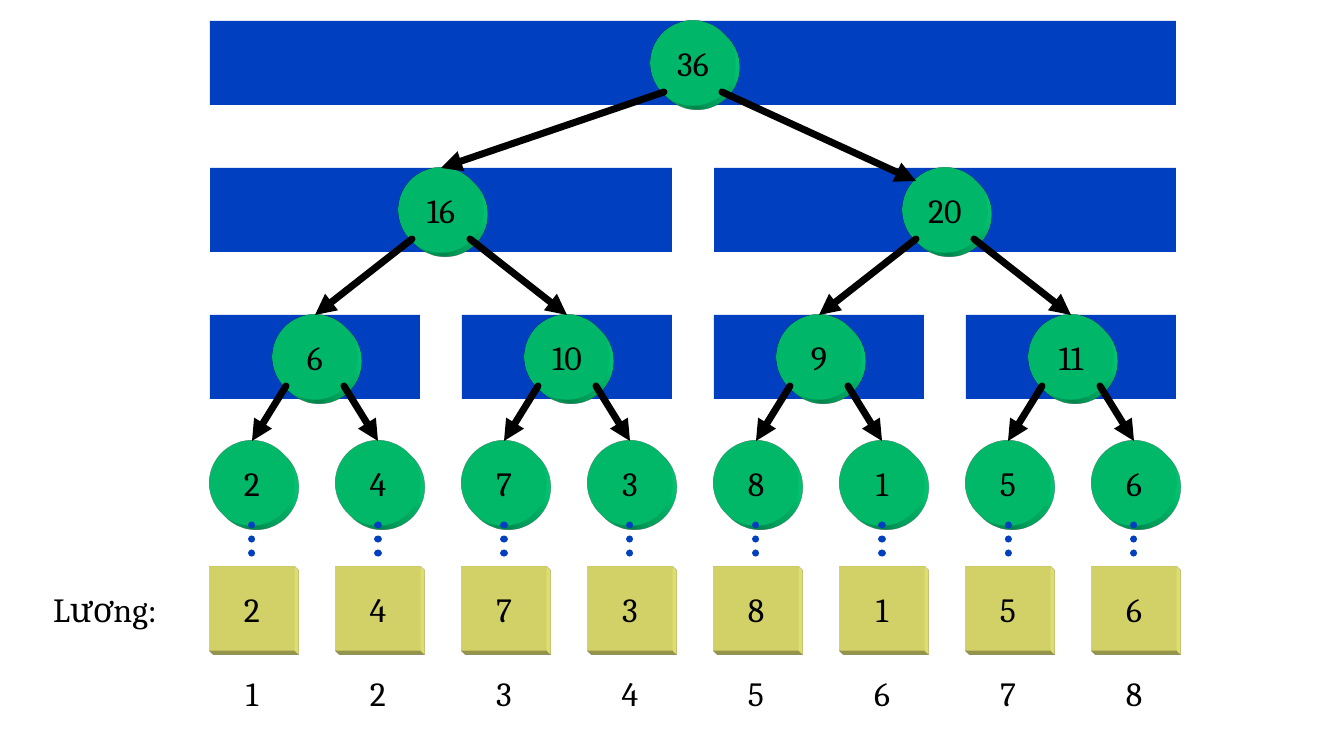
from pptx import Presentation
from pptx.dml.color import RGBColor
from pptx.enum.dml import MSO_LINE_DASH_STYLE as Dash
from pptx.enum.shapes import MSO_CONNECTOR as Conn, MSO_SHAPE as Kind
from pptx.enum.text import MSO_ANCHOR as Anchor, PP_ALIGN as Align
from pptx.oxml import parse_xml
from pptx.oxml.ns import qn
from pptx.util import Pt
from lxml import etree

PX = 914400 // 84
FONT = "Cambria"
COLORS = {"bar": "0040C0", "node": "00E080", "cell": "FFFF80", "ink": "000000"}
NS = 'xmlns:a="http://schemas.openxmlformats.org/drawingml/2006/main"'

PAY = [2, 4, 7, 3, 8, 1, 5, 6]
ROWS = [441, 315, 168, 21]  # top of each tree level, leaves first
SIDE, STEP = 84, 126
FOOT_X, FOOT_Y = 29, 71  # where an arrow leaves its node


def color(name):
    return RGBColor.from_string(COLORS[name])


def write(shape, text):
    frame = shape.text_frame
    frame.word_wrap = True
    frame.margin_left = frame.margin_right = 0
    frame.margin_top = frame.margin_bottom = 0
    frame.vertical_anchor = Anchor.MIDDLE
    para = frame.paragraphs[0]
    para.alignment = Align.CENTER
    run = para.add_run()
    run.text = str(text)
    run.font.name = FONT
    run.font.size = Pt(29)
    run.font.color.rgb = color("ink")


def add_label(slide, box, text):
    write(slide.shapes.add_textbox(*[v * PX for v in box]), text)


def add_block(slide, kind, box, fill):
    shape = slide.shapes.add_shape(kind, *[v * PX for v in box])
    shape.shadow.inherit = False
    shape.fill.solid()
    shape.fill.fore_color.rgb = color(fill)
    shape.line.fill.background()
    return shape


def add_solid(slide, kind, box, fill, text):
    """A raised block with a value on its face."""
    shape = add_block(slide, kind, box, fill)
    props = shape._element.spPr
    props.append(parse_xml(
        f'<a:scene3d {NS}><a:camera prst="legacyObliqueBottomRight"/>'
        '<a:lightRig rig="legacyFlat3" dir="t"/></a:scene3d>'))
    props.append(parse_xml(
        f'<a:sp3d {NS} extrusionH="127000" prstMaterial="legacyMatte">'
        '<a:bevelT w="13500" h="13500" prst="angle"/>'
        '<a:bevelB w="13500" h="13500" prst="angle"/>'
        f'<a:extrusionClr><a:srgbClr val="{COLORS[fill]}"/></a:extrusionClr></a:sp3d>'))
    write(shape, text)


def add_line(slide, ends, ink, arrow=False):
    link = slide.shapes.add_connector(Conn.STRAIGHT, *[v * PX for v in ends])
    link.line.color.rgb = color(ink)
    link.line.width = Pt(6)
    line = link.line._get_or_add_ln()
    line.set("cap", "rnd")
    if arrow:
        etree.SubElement(line, qn("a:tailEnd")).set("type", "triangle")
    else:
        link.line.dash_style = Dash.ROUND_DOT
    etree.SubElement(link._element.spPr, qn("a:effectLst"))


def add_table_rows(slide, left, top):
    """Pay cells with their numbers below."""
    for i, pay in enumerate(PAY):
        x = left + i * STEP
        add_solid(slide, Kind.RECTANGLE, (x, top, SIDE, SIDE), "cell", pay)
        add_label(slide, (x, top + SIDE, SIDE, SIDE), i + 1)
    add_label(slide, (left - 168, top, 126, SIDE), "Lương:")


def add_tree(slide, left, base):
    """Tree of sums whose leaves stand above the cells."""
    sums, arrows = PAY, []
    for level, top in enumerate(ROWS):
        span = 2 ** level
        width = span * STEP - (STEP - SIDE)
        for i, total in enumerate(sums):
            x = left + i * span * STEP
            mid = x + width // 2
            if level:
                add_block(slide, Kind.RECTANGLE, (x, top, width, SIDE), "bar")
                for side in (-1, 1):
                    end_x, end_y = mid + side * span * STEP // 4, ROWS[level - 1]
                    if level == 3 and side == 1:  # meets the rim of the node
                        end_x, end_y = end_x - FOOT_X, end_y + SIDE - FOOT_Y
                    arrows.append((mid + side * FOOT_X, top + FOOT_Y, end_x, end_y))
            add_solid(slide, Kind.OVAL, (mid - SIDE // 2, top, SIDE, SIDE), "node", total)
        sums = [a + b for a, b in zip(sums[::2], sums[1::2])]
    # Arrows and dotted links lie on top
    for ends in arrows:
        add_line(slide, ends, "ink", arrow=True)
    for i in range(len(PAY)):
        mid = left + i * STEP + SIDE // 2
        add_line(slide, (mid, ROWS[0] + SIDE, mid, base), "bar")


def main():
    deck = Presentation()
    deck.slide_width, deck.slide_height = 1344 * PX, 756 * PX
    slide = deck.slides.add_slide(deck.slide_layouts[6])
    add_table_rows(slide, 210, 567)
    add_tree(slide, 210, 567)
    deck.save("out.pptx")


if __name__ == "__main__":
    main()
